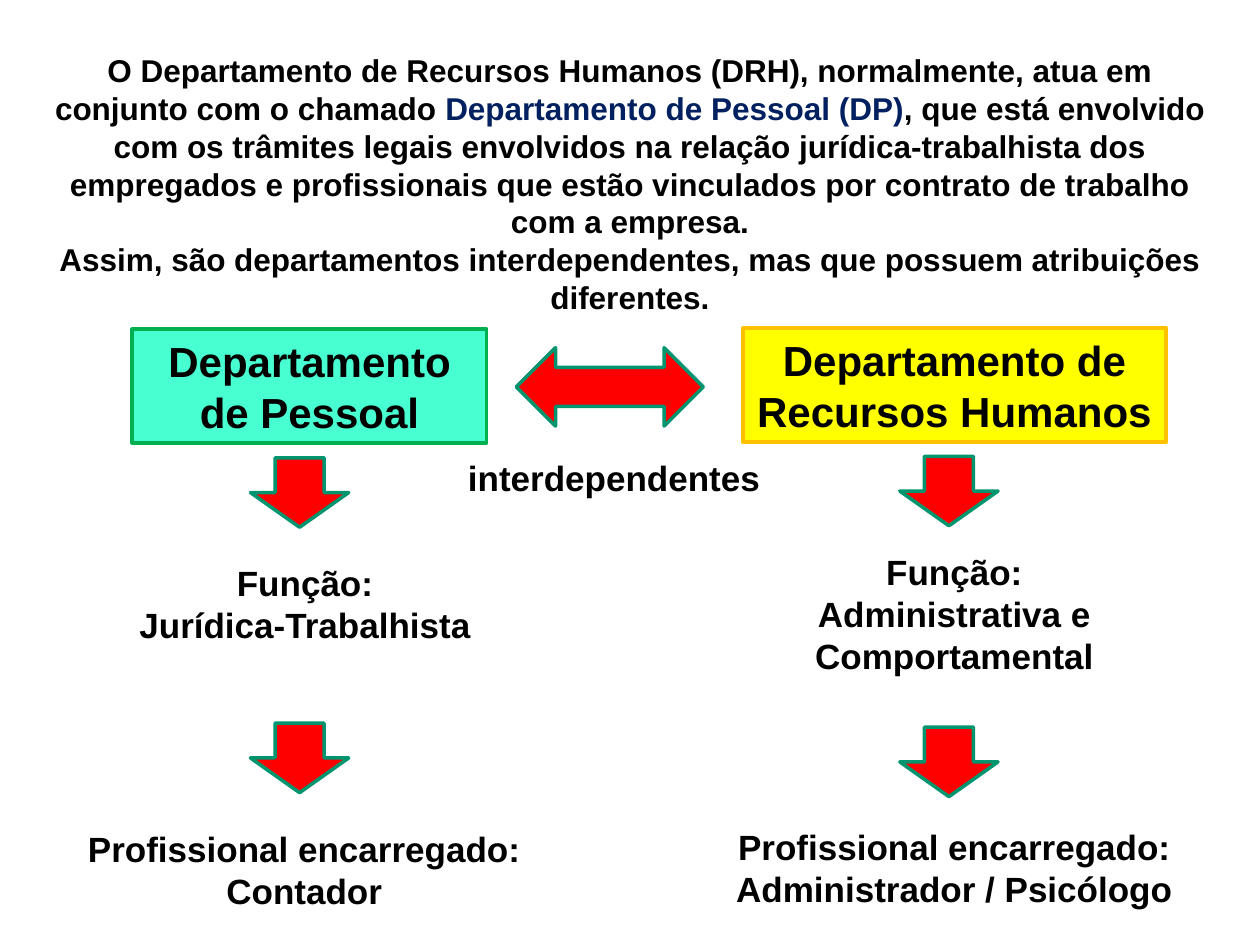
from pptx import Presentation
from pptx.dml.color import RGBColor
from pptx.enum.shapes import MSO_SHAPE
from pptx.enum.text import MSO_ANCHOR, PP_ALIGN
from pptx.util import Cm, Pt

RECTANGLE = MSO_SHAPE.RECTANGLE
DOWN_ARROW = MSO_SHAPE.DOWN_ARROW
DOUBLE_ARROW = MSO_SHAPE.LEFT_RIGHT_ARROW
CENTER = PP_ALIGN.CENTER
MIDDLE = MSO_ANCHOR.MIDDLE

COLORS = {
    "text": "000000",
    "highlight": "002060",
    "personnel": "47FFD1",
    "personnel_line": "00B050",
    "resources": "FFFF00",
    "resources_line": "FFC000",
    "arrow": "FF0000",
    "arrow_line": "00956F",
}


def add_filled_shape(kind, left, top, width, height, color, line_width):
    shape = page.shapes.add_shape(kind, Cm(left), Cm(top), Cm(width), Cm(height))
    shape.shadow.inherit = False
    shape.fill.solid()
    shape.fill.fore_color.rgb = RGBColor.from_string(COLORS[color])
    shape.line.color.rgb = RGBColor.from_string(COLORS[color + "_line"])
    shape.line.width = Pt(line_width)
    return shape


def write_paragraphs(box, paragraphs, size):
    """Fill a box with centred bold paragraphs, each a list of (text, color) spans."""
    frame = box.text_frame
    frame.word_wrap = True
    for index, spans in enumerate(paragraphs):
        para = frame.paragraphs[0] if index == 0 else frame.add_paragraph()
        para.alignment = CENTER
        para.font.name = "Arial"
        para.font.size = Pt(size)
        para.font.bold = True
        for text, color in spans:
            span = para.add_run()
            span.text = text
            span.font.color.rgb = RGBColor.from_string(COLORS[color])


deck = Presentation()
deck.slide_width = Cm(25.4)
deck.slide_height = Cm(19.05)
page = deck.slides.add_slide(deck.slide_layouts[6])

# Introduction
intro = page.shapes.add_textbox(Cm(0.5), Cm(0.91), Cm(24.4), Cm(4.8))
write_paragraphs(intro, [
    [
        ("O Departamento de Recursos Humanos (DRH), normalmente, atua em "
         "conjunto com o chamado ", "text"),
        ("Departamento de Pessoal (DP)", "highlight"),
        (", que está envolvido com os trâmites legais envolvidos na relação "
         "jurídica-trabalhista dos empregados e profissionais que estão "
         "vinculados por contrato de trabalho com a empresa.", "text"),
    ],
    [("Assim, são departamentos interdependentes, mas que possuem "
      "atribuições diferentes.", "text")],
], 18)

# Departments
departments = [
    ("Departamento de Pessoal", 2.67, 6.64, 7.14, "personnel"),
    ("Departamento de Recursos Humanos", 14.97, 6.62, 8.54, "resources"),
]
for name, left, top, width, color in departments:
    department = add_filled_shape(RECTANGLE, left, top, width, 2.29, color, 2.25)
    department.text_frame.vertical_anchor = MIDDLE
    write_paragraphs(department, [[(name, "text")]], 24)

# Arrows
add_filled_shape(DOUBLE_ARROW, 10.41, 7.01, 3.77, 1.58, "arrow", 2)
for left, top in [(5.05, 9.23), (18.14, 9.2), (5.05, 14.58), (18.14, 14.66)]:
    add_filled_shape(DOWN_ARROW, left, top, 1.98, 1.4, "arrow", 2)

# Labels
labels = [
    (["interdependentes"], 8.61, 9.07, 7.54, 1.11),
    (["Função:", "Jurídica-Trabalhista"], 1.88, 11.2, 8.54, 1.96),
    (["Função:", "Administrativa e Comportamental"], 14.97, 10.98, 8.54, 2.8),
    (["Profissional encarregado:", "Contador"], 1.27, 16.56, 9.73, 1.96),
    (["Profissional encarregado: Administrador / Psicólogo"],
     14.58, 16.52, 9.32, 1.96),
]
for lines, left, top, width, height in labels:
    label = page.shapes.add_textbox(Cm(left), Cm(top), Cm(width), Cm(height))
    write_paragraphs(label, [[(line, "text")] for line in lines], 20)

deck.save("out.pptx")
